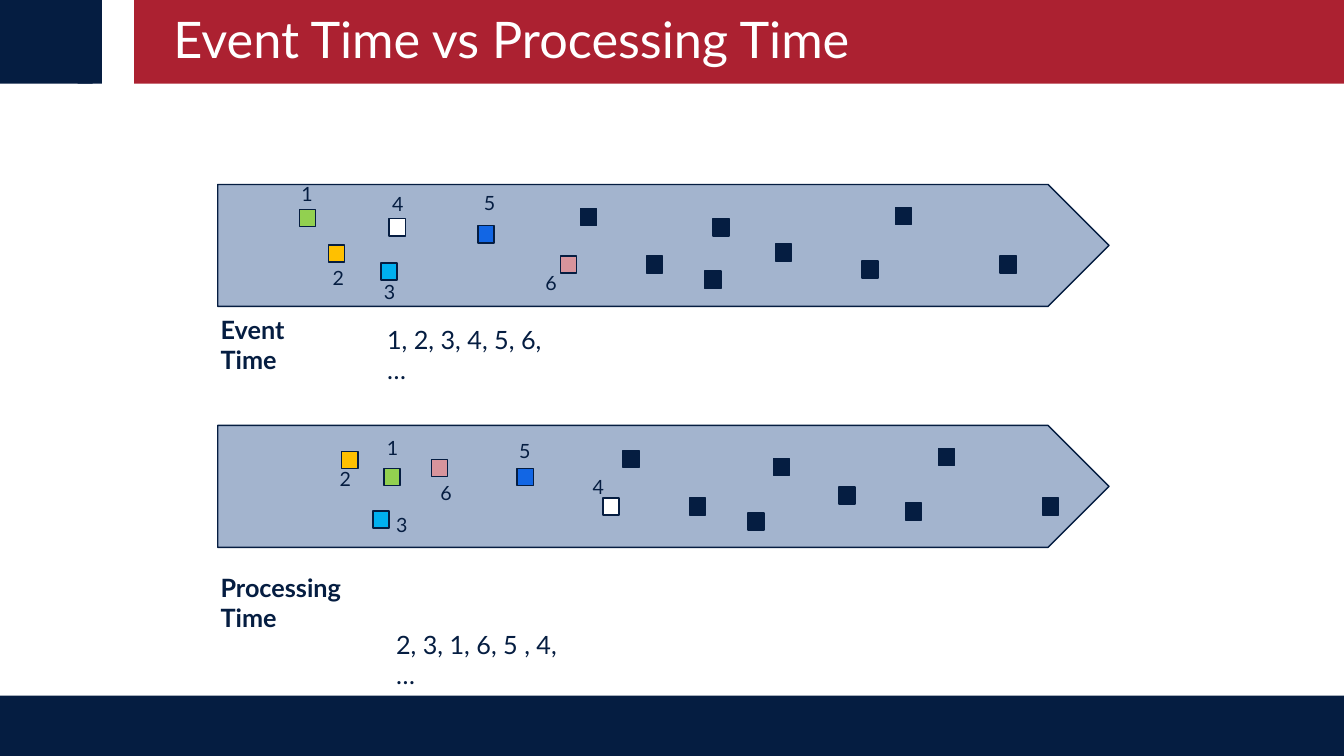
"""Build the slide comparing event time with processing time."""
from dataclasses import dataclass

from pptx import Presentation
from pptx.dml.color import RGBColor
from pptx.enum.shapes import MSO_SHAPE
from pptx.enum.text import MSO_ANCHOR, MSO_AUTO_SIZE, PP_ALIGN
from pptx.util import Inches, Pt

RECT, ARROW = MSO_SHAPE.RECTANGLE, MSO_SHAPE.PENTAGON
LEFT, MIDDLE, NO_FIT = PP_ALIGN.LEFT, MSO_ANCHOR.MIDDLE, MSO_AUTO_SIZE.NONE
TITLE_ONLY = 5


@dataclass(frozen=True)
class Theme:
    font: str = "Lato"
    navy: str = "051D41"
    red: str = "AC2131"
    white: str = "FFFFFF"
    lane: str = "A3B4CE"
    title: int = 36
    body: int = 18
    label: int = 14
    events: tuple = ("92D050", "FFC000", "00B0F0", "FFFFFF", "1266E4", "D7949C")


@dataclass(frozen=True)
class Event:
    number: int
    x: float
    y: float
    label_x: float
    label_y: float


@dataclass(frozen=True)
class Text:
    text: str
    x: float
    y: float
    w: float


@dataclass(frozen=True)
class Lane:
    top: float
    name: Text
    order: Text
    events: tuple
    later: tuple


THEME = Theme()

BANDS = (
    (-0.01, 6.9, 13.35, 0.61, THEME.navy),
    (0, 0, 0.92, 0.83, THEME.navy),
    (0.77, 0, 0.24, 0.83, THEME.navy),
    (1.33, 0, 12, 0.83, THEME.red),
)

LANES = (
    Lane(
        1.83,
        Text("Event Time", 2.09, 3.07, 1.4),
        Text("1, 2, 3, 4, 5, 6, …", 3.74, 3.17, 1.88),
        (
            Event(1, 2.97, 2.08, 2.89, 1.76),
            Event(2, 3.26, 2.43, 3.2, 2.59),
            Event(3, 3.78, 2.61, 3.71, 2.73),
            Event(4, 3.86, 2.17, 3.79, 1.86),
            Event(5, 4.74, 2.24, 4.7, 1.84),
            Event(6, 5.56, 2.54, 5.31, 2.64),
        ),
        ((5.76, 2.07), (6.41, 2.54), (7.07, 2.17), (6.99, 2.69),
         (7.69, 2.42), (8.55, 2.59), (8.88, 2.06), (9.92, 2.54)),
    ),
    Lane(
        4.22,
        Text("Processing Time", 2.09, 5.63, 1.97),
        Text("2, 3, 1, 6, 5 , 4, …", 3.83, 6.19, 1.94),
        (
            Event(2, 3.39, 4.48, 3.27, 4.58),
            Event(3, 3.7, 5.07, 3.83, 5.04),
            Event(1, 3.81, 4.65, 3.74, 4.28),
            Event(6, 4.28, 4.56, 4.27, 4.72),
            Event(5, 5.13, 4.65, 5.05, 4.31),
            Event(4, 5.98, 4.94, 5.78, 4.66),
        ),
        ((6.18, 4.47), (6.84, 4.94), (7.67, 4.55), (7.42, 5.09),
         (8.32, 4.83), (8.98, 4.99), (9.31, 4.45), (10.34, 4.94)),
    ),
)


def add_block(s, kind, x: float, y: float, w: float, h: float, fill: str, outlined: bool = True):
    sp = s.shapes.add_shape(kind, Inches(x), Inches(y), Inches(w), Inches(h))
    sp.shadow.inherit = False
    sp.fill.solid()
    sp.fill.fore_color.rgb = RGBColor.from_string(fill)
    if outlined:
        sp.line.color.rgb = RGBColor.from_string(THEME.navy)
        sp.line.width = Pt(1)
    else:
        sp.line.fill.background()
    return sp


def add_square(s, x: float, y: float, fill: str) -> None:
    add_block(s, RECT, x, y, 0.16, 0.17, fill)


def write(tf, text: str, size: int, color: str, bold: bool = False) -> None:
    p = tf.paragraphs[0]
    p.alignment = LEFT
    r = p.add_run()
    r.text = text
    for name, value in {"name": THEME.font, "size": Pt(size), "bold": bold}.items():
        setattr(r.font, name, value)
    r.font.color.rgb = RGBColor.from_string(color)


def add_text(s, item: Text, h: float, size: int, bold: bool = False, wrap: bool = True) -> None:
    sp = s.shapes.add_textbox(Inches(item.x), Inches(item.y), Inches(item.w), Inches(h))
    sp.text_frame.word_wrap = wrap
    write(sp.text_frame, item.text, size, THEME.navy, bold)


def add_title(s, text: str) -> None:
    for x, y, w, h, fill in BANDS:
        band = add_block(s, RECT, x, y, w, h, fill, outlined=False)
    sp = s.shapes.title
    band.element.addnext(sp.element)
    for name in ("left", "top", "width", "height"):
        setattr(sp, name, getattr(band, name))
    tf = sp.text_frame
    frame = {"margin_left": Inches(0.39), "margin_right": Inches(0.2),
             "margin_top": Inches(0.1), "margin_bottom": Inches(0.1),
             "vertical_anchor": MIDDLE, "auto_size": NO_FIT, "word_wrap": True}
    for name, value in frame.items():
        setattr(tf, name, value)
    write(tf, text, THEME.title, THEME.white)
    tf.paragraphs[0].line_spacing = 0.9


def add_lane(s, lane: Lane) -> None:
    add_block(s, ARROW, 2.16, lane.top, 8.84, 1.21, THEME.lane)
    for event in lane.events:
        add_square(s, event.x, event.y, THEME.events[event.number - 1])
    for x, y in lane.later:
        add_square(s, x, y, THEME.navy)
    for event in lane.events:
        label = Text(str(event.number), event.label_x, event.label_y, 0.3)
        add_text(s, label, 0.34, THEME.label, wrap=False)
    add_text(s, lane.name, 0.4, THEME.body, bold=True)
    add_text(s, lane.order, 0.4, THEME.body)


def main() -> None:
    prs = Presentation()
    prs.slide_width, prs.slide_height = Inches(13.33), Inches(7.5)
    s = prs.slides.add_slide(prs.slide_layouts[TITLE_ONLY])
    add_title(s, "Event Time vs Processing Time")
    for lane in LANES:
        add_lane(s, lane)
    prs.save("out.pptx")


if __name__ == "__main__":
    main()
